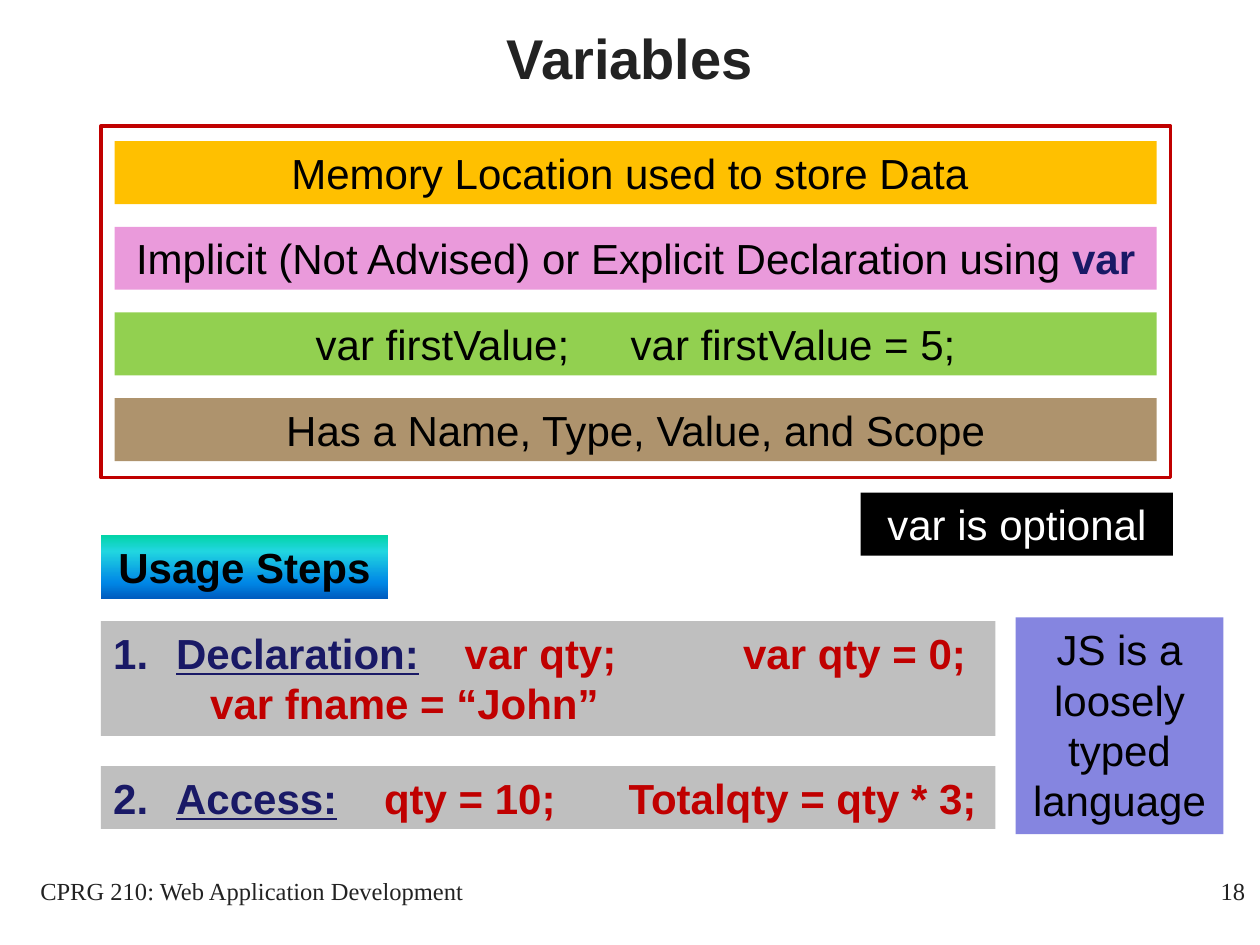
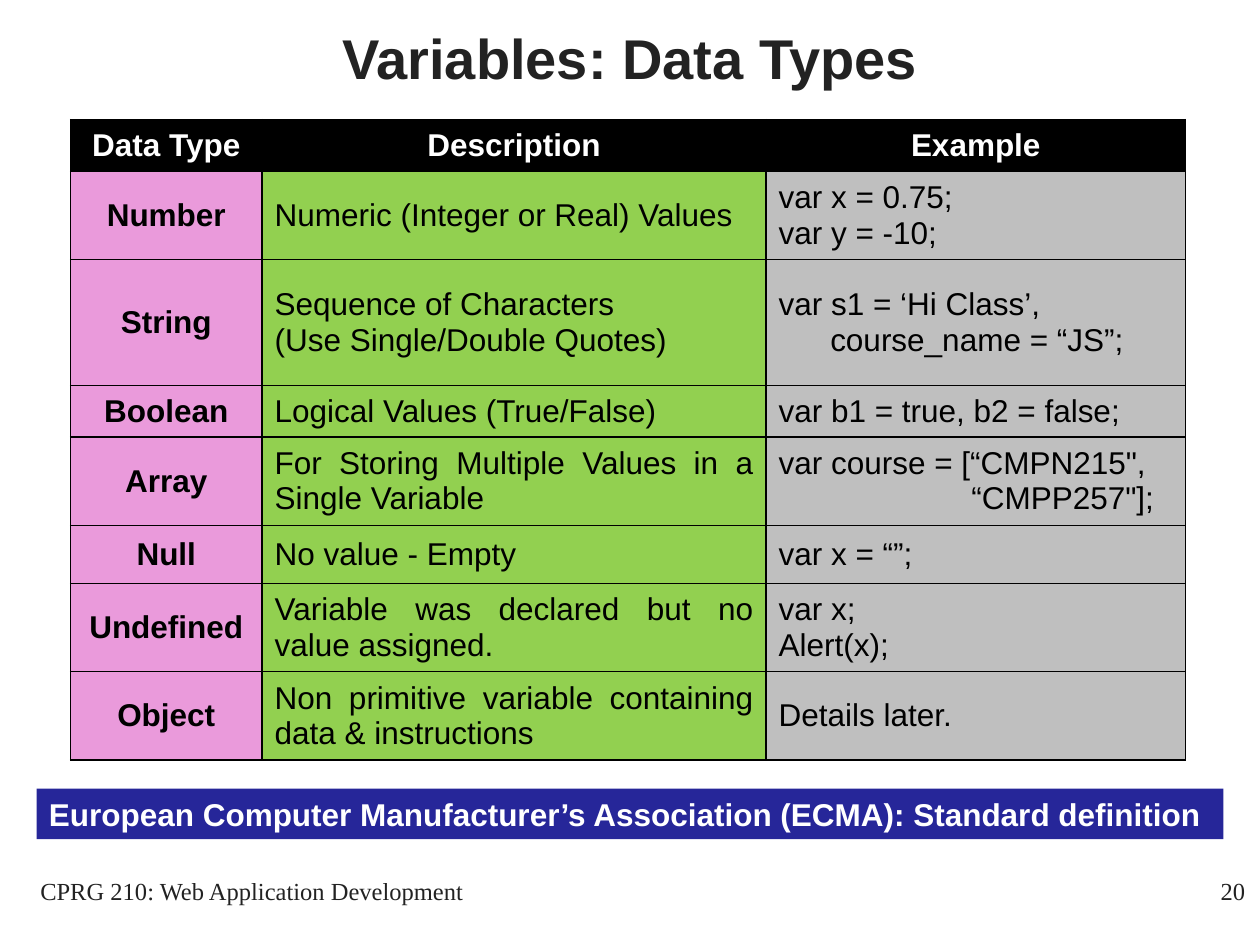
"""Build two lesson slides on JavaScript variables and their data types."""
from dataclasses import dataclass

from lxml import etree
from pptx import Presentation
from pptx import util as u
from pptx.dml.color import RGBColor
from pptx.enum import shapes, text
from pptx.oxml.ns import qn

ALIGN = text.PP_ALIGN


@dataclass(frozen=True)
class Theme:
    """Colours, fonts and type sizes of the lesson."""
    ink: str = "222222"
    black: str = "000000"
    white: str = "FFFFFF"
    keyword: str = "191966"
    code: str = "C00000"
    amber: str = "FFC000"
    pink: str = "EA9ADB"
    green: str = "92D050"
    brown: str = "886128"
    grey: str = "BFBFBF"
    lavender: str = "8585E0"
    navy: str = "262699"
    ocean: tuple = ((0, "03D4A8"), (25, "21D6E0"), (75, "0087E6"), (100, "005CBF"))
    sans: str = "Arial"
    serif: str = "Times New Roman"
    title: int = 32
    body: int = 24
    cell: int = 18
    footer: int = 14


@dataclass(frozen=True)
class Run:
    """A piece of text with its own look."""
    words: str
    color: str = Theme.black
    bold: bool = False
    underline: bool = False


@dataclass(frozen=True)
class Para:
    """A paragraph of runs with its indents, number and tab stops in inches."""
    runs: tuple
    align: ALIGN = ALIGN.LEFT
    indent: float = 0
    number: int = 0
    tabs: tuple = ()


def line(words, color=Theme.black, bold=False, align=ALIGN.CENTER, indent=0):
    """Return a paragraph made of one run."""
    return Para((Run(words, color, bold),), align, indent)


def child(parent, tag, **attributes):
    """Append a DrawingML element to its parent."""
    return etree.SubElement(parent, qn(f"a:{tag}"),
                            {key: str(value) for key, value in attributes.items()})


class Lesson:
    """Holds the theme and the current slide, and draws on a 100 by 75 grid."""

    def __init__(self, theme):
        """Open a 10 by 7.5 inch presentation."""
        self.theme = theme
        self.deck = Presentation()
        self.deck.slide_width, self.deck.slide_height = u.Inches(10), u.Inches(7.5)
        self.slide = None

    def across(self, columns):
        """Turn grid columns into a length."""
        return round(self.deck.slide_width * columns / 100)

    def down(self, rows):
        """Turn grid rows into a length."""
        return round(self.deck.slide_height * rows / 75)

    def place(self, left, top, width, height):
        """Turn a grid box into lengths."""
        return self.across(left), self.down(top), self.across(width), self.down(height)

    def set_text(self, frame, paras, size, font, anchor=text.MSO_ANCHOR.TOP):
        """Fill a text frame run by run."""
        frame.word_wrap = True
        frame.vertical_anchor = anchor
        for index, para in enumerate(paras):
            target = frame.add_paragraph() if index else frame.paragraphs[0]
            target.alignment = para.align
            self.indent(target, para)
            for run in para.runs:
                piece = target.add_run()
                piece.text = run.words
                piece.font.name, piece.font.size = font, u.Pt(size)
                piece.font.bold, piece.font.underline = run.bold, run.underline
                piece.font.color.rgb = RGBColor.from_string(run.color)

    def indent(self, target, para):
        """Set the margin, number and tab stops of a paragraph."""
        props = target._p.get_or_add_pPr()
        if para.indent:
            margin = u.Inches(para.indent)
            props.set("marL", str(margin))
            props.set("indent", str(-margin if para.number else 0))
        if para.number:
            child(props, "buFont", typeface=self.theme.sans)
            child(props, "buAutoNum", type="arabicPeriod", startAt=para.number)
        if para.tabs:
            stops = child(props, "tabLst")
            for stop in para.tabs:
                child(stops, "tab", pos=u.Inches(stop), algn="l")

    def start(self, title, page):
        """Add a slide with its title, course name and page number."""
        self.slide = self.deck.slides.add_slide(self.deck.slide_layouts[5])
        heading = self.slide.shapes.title
        heading.left, heading.top, heading.width, heading.height = self.place(0, -1.7, 100, 12.5)
        self.set_text(heading.text_frame, [line(title, self.theme.ink, True)],
                      self.theme.title, self.theme.sans, text.MSO_ANCHOR.MIDDLE)
        self.footer("CPRG 210: Web Application Development", 0, 40, ALIGN.CENTER)
        self.footer(str(page), 79, 20.8, ALIGN.RIGHT)

    def footer(self, words, left, width, align):
        """Add one footer text."""
        note = self.slide.shapes.add_textbox(*self.place(left, 69, width, 5))
        self.set_text(note.text_frame, [line(words, self.theme.ink, align=align)],
                      self.theme.footer, self.theme.serif)

    def rectangle(self, box):
        """Add a bare rectangle."""
        area = self.slide.shapes.add_shape(shapes.MSO_SHAPE.RECTANGLE, *self.place(*box))
        area.shadow.inherit = False
        area.fill.background()
        area.line.fill.background()
        return area

    def frame(self, box, color):
        """Add an outlined rectangle."""
        outline = self.rectangle(box).line
        outline.color.rgb = RGBColor.from_string(color)
        outline.width = u.Pt(2)

    def band(self, box, paras, fill, size=Theme.body, opacity=100):
        """Add a filled rectangle with text."""
        area = self.rectangle(box)
        if isinstance(fill, tuple):
            self.blend(area, fill)
        else:
            area.fill.solid()
            area.fill.fore_color.rgb = RGBColor.from_string(fill)
        if opacity < 100:
            tint = area._element.spPr.find(f"{qn('a:solidFill')}/{qn('a:srgbClr')}")
            child(tint, "alpha", val=opacity * 1000)
        self.set_text(area.text_frame, paras, size, self.theme.sans)
        area.text_frame.auto_size = text.MSO_AUTO_SIZE.SHAPE_TO_FIT_TEXT

    def blend(self, area, stops):
        """Fill a shape with a gradient running downwards."""
        area.fill.gradient()
        area.fill.gradient_angle = 270
        ramp = area._element.spPr.find(f"{qn('a:gradFill')}/{qn('a:gsLst')}")
        for old in list(ramp):
            ramp.remove(old)
        for share, color in stops:
            child(child(ramp, "gs", pos=share * 1000), "srgbClr", val=color)

    def table(self, left, top, widths, heights, rows, fills):
        """Add a bordered table with a black header row."""
        grid = self.slide.shapes.add_table(
            len(rows), len(widths), *self.place(left, top, sum(widths), sum(heights))).table
        grid.first_row = grid.horz_banding = False
        for column, width in zip(grid.columns, widths):
            column.width = self.across(width)
        for row, height in zip(grid.rows, heights):
            row.height = self.down(height)
        for r, row in enumerate(rows):
            for c, paras in enumerate(row):
                self.cell(grid.cell(r, c), paras, fills[c] if r else self.theme.black)

    def cell(self, cell, paras, fill):
        """Fill in, border and colour one table cell."""
        self.set_text(cell.text_frame, paras, self.theme.cell, self.theme.sans)
        cell.vertical_anchor = text.MSO_ANCHOR.MIDDLE
        props = cell._tc.get_or_add_tcPr()
        for side in ("lnL", "lnR", "lnT", "lnB"):
            edge = child(props, side, w=u.Pt(1))
            child(child(edge, "solidFill"), "srgbClr", val=self.theme.black)
        cell.fill.solid()
        cell.fill.fore_color.rgb = RGBColor.from_string(fill)


def variables(lesson):
    """Build the slide that introduces variables."""
    look = lesson.theme
    lesson.start("Variables", 18)
    explicit = Para((Run("Implicit (Not Advised) or Explicit Declaration using "),
                     Run("var", look.keyword, True)), ALIGN.CENTER)
    facts = [
        (line("Memory Location used to store Data "), look.amber, 100),
        (explicit, look.pink, 100),
        (line("var firstValue;\tvar firstValue = 5;"), look.green, 100),
        (line("Has a Name, Type, Value, and Scope"), look.brown, 68),
    ]
    for index, (fact, fill, opacity) in enumerate(facts):
        lesson.band((9.1, 11.2 + 6.8 * index, 82.7, 5), [fact], fill, opacity=opacity)
    lesson.frame((8, 10, 84.9, 27.9), look.code)

    lesson.band((68.3, 39.1, 24.8, 5), [line("var is optional", look.white)], look.black)
    lesson.band((8, 42.5, 22.8, 5), [line("Usage Steps", bold=True)], look.ocean)
    lesson.band((80.6, 49, 16.5, 17.2), [line("JS is a loosely typed language")], look.lavender)

    def step(number, name, code, tabs):
        """Return a numbered usage step."""
        return Para((Run(name, look.keyword, True, True), Run(code, look.code, True)),
                    indent=0.5, number=number, tabs=tabs)

    declaration = step(1, "Declaration:", "\tvar qty;\tvar qty = 0;", (2.79, 5))
    sample = line("var fname = “John”", look.code, True, ALIGN.LEFT, 0.77)
    access = step(2, "Access:", "\tqty = 10;\tTotalqty = qty * 3;", (2.15, 4.09))
    lesson.band((8, 49.3, 71, 9.1), [declaration, sample], look.grey)
    lesson.band((8, 60.8, 71, 5), [access], look.grey)


def data_types(lesson):
    """Build the slide that lists the data types."""
    look = lesson.theme
    lesson.start("Variables: Data Types", 20)
    kinds = [
        ("Number", ["Numeric (Integer or Real) Values"],
         [("var x = 0.75;", 0), ("var y = -10;", 0)]),
        ("String", ["Sequence of Characters", "(Use Single/Double Quotes)"],
         [("var s1 = ‘Hi Class’,", 0), ("course_name = “JS”;", 0.41)]),
        ("Boolean", ["Logical Values (True/False)"], [("var b1 = true, b2 = false;", 0)]),
        ("Array", ["For Storing Multiple Values in a Single Variable"],
         [("var course = [“CMPN215\",", 0), ("“CMPP257\"];", 1.53)]),
        ("Null", ["No value - Empty"], [("var x = “”;", 0)]),
        ("Undefined", ["Variable was declared but no value assigned."],
         [("var x;", 0), ("Alert(x);", 0)]),
        ("Object", ["Non primitive variable containing data & instructions"],
         [("Details later.", 0)]),
    ]
    rows = [[[line(head, look.white, True)] for head in ("Data Type", "Description", "Example")]]
    for kind, meaning, example in kinds:
        rows.append([
            [line(kind, bold=True)],
            [line(words, align=ALIGN.JUSTIFY) for words in meaning],
            [line(code, align=ALIGN.LEFT, indent=indent) for code, indent in example],
        ])
    lesson.table(5.6, 9.5, (15.2, 40, 33.3), (4.1, 7, 10, 4.1, 7, 4.6, 7, 7),
                 rows, (look.pink, look.green, look.grey))
    standard = "European Computer Manufacturer’s Association (ECMA): Standard definition"
    lesson.band((2.9, 62.6, 94.2, 4), [line(standard, look.white, True, ALIGN.LEFT)],
                look.navy, look.cell)


def main():
    """Build and save both slides."""
    lesson = Lesson(Theme())
    variables(lesson)
    data_types(lesson)
    lesson.deck.save("out.pptx")


if __name__ == "__main__":
    main()
